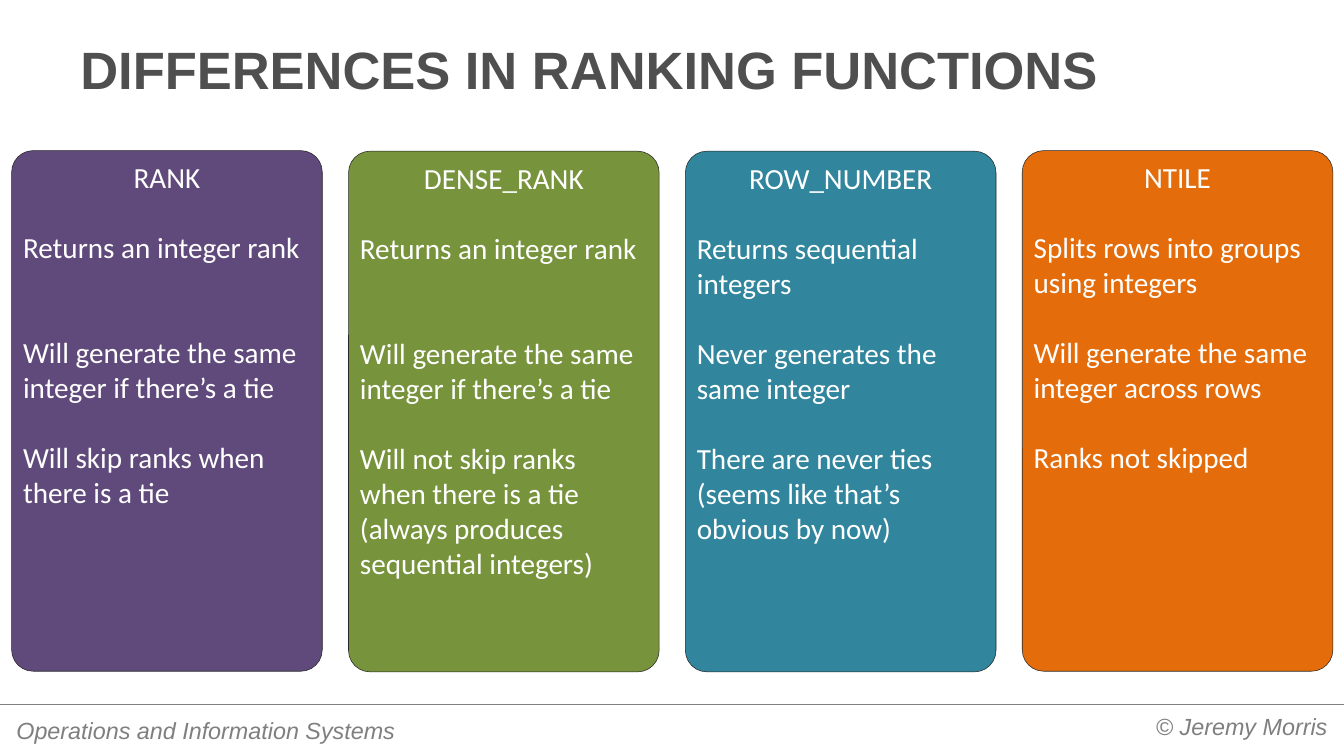
from dataclasses import dataclass

from lxml import etree
from pptx import Presentation
from pptx.dml.color import RGBColor
from pptx.enum.shapes import MSO_CONNECTOR, MSO_SHAPE
from pptx.enum.text import MSO_ANCHOR, PP_ALIGN
from pptx.oxml.ns import qn
from pptx.slide import Slide
from pptx.text.text import TextFrame
from pptx.util import Pt

LEFT, CENTER, RIGHT = PP_ALIGN.LEFT, PP_ALIGN.CENTER, PP_ALIGN.RIGHT
TOP, BOTTOM = MSO_ANCHOR.TOP, MSO_ANCHOR.BOTTOM
ROUNDED = MSO_SHAPE.ROUNDED_RECTANGLE
STRAIGHT = MSO_CONNECTOR.STRAIGHT

WHITE = RGBColor(0xFF, 0xFF, 0xFF)
TITLE_GRAY = RGBColor(0x4F, 0x4F, 0x4F)
FOOTER_GRAY = RGBColor(0x7F, 0x7F, 0x7F)
RULE_GRAY = RGBColor(0x80, 0x80, 0x80)
OUTLINE = RGBColor(0x26, 0x26, 0x26)
PURPLE = RGBColor(0x60, 0x4A, 0x7B)
GREEN = RGBColor(0x77, 0x93, 0x3C)
TEAL = RGBColor(0x31, 0x85, 0x9C)
ORANGE = RGBColor(0xE4, 0x6C, 0x0A)

SLIDE_WIDTH, SLIDE_HEIGHT = 1843.2, 1036.8
RULE_TOP = 965.5
CARD_LEFT, CARD_PITCH = 16, 462
CARD_WIDTH, CARD_HEIGHT = 426, 714
CARD_CORNER = 0.069
LINE_HEIGHT = 48


@dataclass(frozen=True)
class Style:
    font: str
    size: float
    color: RGBColor
    bold: bool = False
    italic: bool = False


@dataclass(frozen=True)
class Label:
    text: str
    left: float
    top: float
    width: float
    height: float
    style: Style
    margins: tuple[float, float]
    alignment: PP_ALIGN = LEFT
    anchor: MSO_ANCHOR = TOP


@dataclass(frozen=True)
class Card:
    name: str
    color: RGBColor
    top: float
    result: str
    ties: str
    skips: str
    lines_before_ties: int = 1


TITLE_STYLE = Style("Arial", 72, TITLE_GRAY, bold=True)
FOOTER_STYLE = Style("Arial", 32, FOOTER_GRAY, italic=True)
CARD_STYLE = Style("Calibri", 40, WHITE)

LABELS = [
    Label("© Jeremy Morris", 1049.8, 970.5, 784, 91, FOOTER_STYLE, (13, 6.5), RIGHT),
    Label("Operations and Information Systems", 9.4, 976.3, 630, 52, FOOTER_STYLE, (13, 6.5)),
    Label("DIFFERENCES IN RANKING FUNCTIONS", 92.2, 38.2, 1659, 107.3, TITLE_STYLE,
          (18, 9), anchor=BOTTOM),
]

SAME_ON_TIE = "Will generate the same integer if there’s a tie"
CARDS = [
    Card("RANK", PURPLE, 206.6, "Returns an integer rank", SAME_ON_TIE,
         "Will skip ranks when there is a tie", 2),
    Card("DENSE_RANK", GREEN, 207.4, "Returns an integer rank", SAME_ON_TIE,
         "Will not skip ranks when there is a tie (always produces sequential integers)", 2),
    Card("ROW_NUMBER", TEAL, 207.4, "Returns sequential integers",
         "Never generates the same integer",
         "There are never ties (seems like that’s obvious by now)"),
    Card("NTILE", ORANGE, 206.6, "Splits rows into groups using integers",
         "Will generate the same integer across rows", "Ranks not skipped"),
]


def write_paragraph(frame: TextFrame, text: str, style: Style, alignment: PP_ALIGN = LEFT,
                    space_before: float = 0) -> None:
    """Fill the first paragraph if it is unused, otherwise add one."""
    first = frame.paragraphs[0]
    paragraph = frame.add_paragraph() if first.runs else first
    paragraph.alignment = alignment
    paragraph.space_before = Pt(space_before)
    run = paragraph.add_run()
    run.text = text
    run.font.name = style.font
    run.font.size = Pt(style.size)
    run.font.bold = style.bold
    run.font.italic = style.italic
    run.font.color.rgb = style.color


def draw_label(slide: Slide, label: Label) -> None:
    box = slide.shapes.add_textbox(Pt(label.left), Pt(label.top), Pt(label.width), Pt(label.height))
    frame = box.text_frame
    frame.word_wrap = True
    frame.vertical_anchor = label.anchor
    horizontal, vertical = label.margins
    frame.margin_left = frame.margin_right = Pt(horizontal)
    frame.margin_top = frame.margin_bottom = Pt(vertical)
    write_paragraph(frame, label.text, label.style, label.alignment)


def draw_card(slide: Slide, card: Card, left: float) -> None:
    shape = slide.shapes.add_shape(ROUNDED, Pt(left), Pt(card.top), Pt(CARD_WIDTH), Pt(CARD_HEIGHT))
    shape.adjustments[0] = CARD_CORNER
    shape.shadow.inherit = False
    shape.fill.solid()
    shape.fill.fore_color.rgb = card.color
    shape.line.color.rgb = OUTLINE
    shape.line.width = Pt(0.75)
    frame = shape.text_frame
    frame.word_wrap = True
    frame.vertical_anchor = TOP
    write_paragraph(frame, card.name, CARD_STYLE, CENTER)
    for text, lines_before in ((card.result, 1), (card.ties, card.lines_before_ties), (card.skips, 1)):
        write_paragraph(frame, text, CARD_STYLE, space_before=lines_before * LINE_HEIGHT)


def draw_footer_rule(slide: Slide) -> None:
    rule = slide.shapes.add_connector(STRAIGHT, Pt(0), Pt(RULE_TOP), Pt(SLIDE_WIDTH), Pt(RULE_TOP))
    rule.line.color.rgb = RULE_GRAY
    rule.line.width = Pt(0.75)
    etree.SubElement(rule._element.spPr, qn("a:effectLst"))


presentation = Presentation()
presentation.slide_width = Pt(SLIDE_WIDTH)
presentation.slide_height = Pt(SLIDE_HEIGHT)
slide = presentation.slides.add_slide(presentation.slide_layouts[6])

# Footer rule, footer texts and title
draw_footer_rule(slide)
for label in LABELS:
    draw_label(slide, label)

# One card per ranking function
for index, card in enumerate(CARDS):
    draw_card(slide, card, CARD_LEFT + index * CARD_PITCH)

presentation.save("out.pptx")
